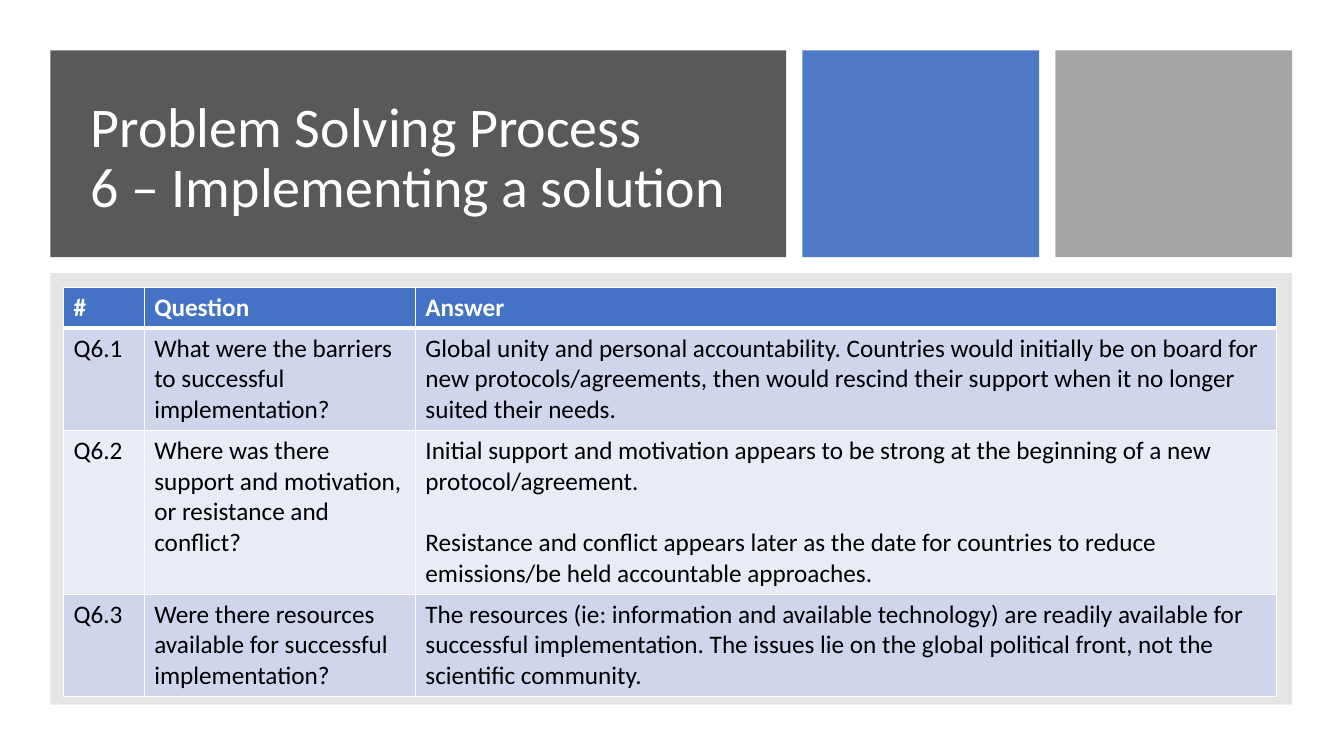
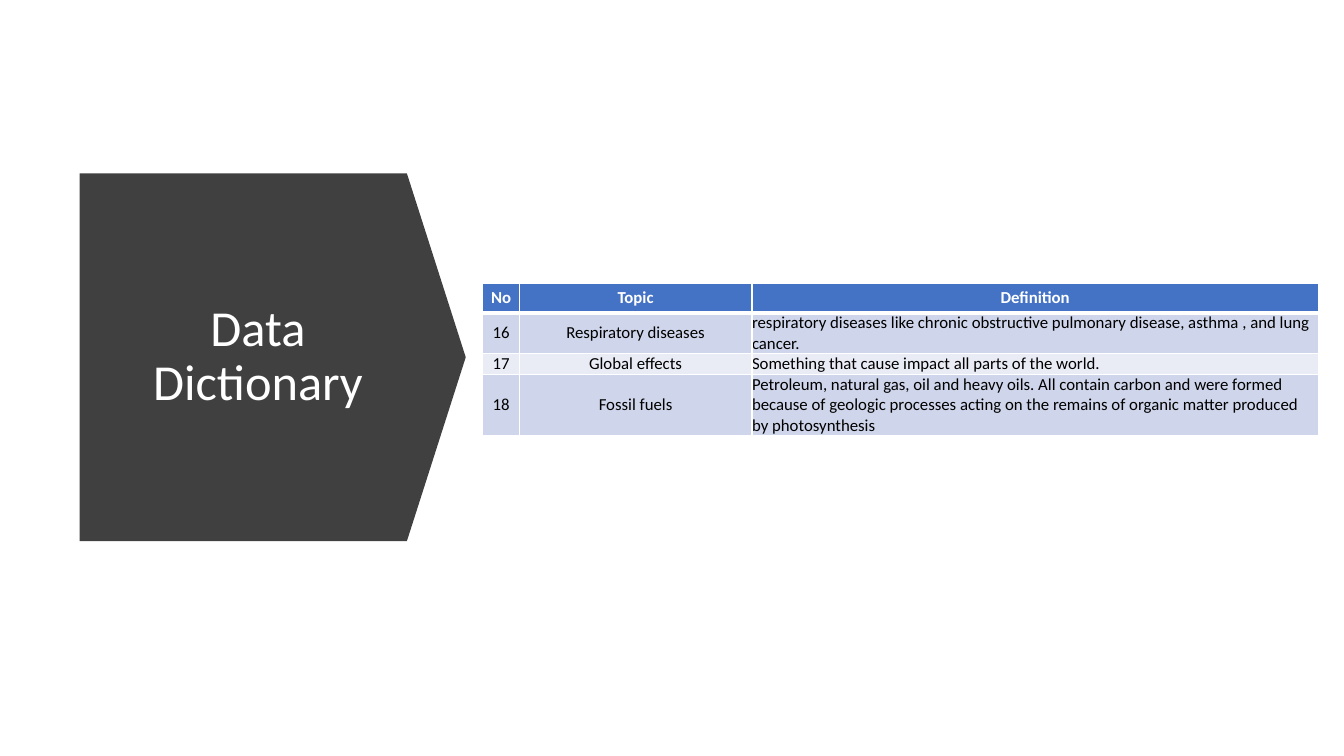
"""Build two slides: a solution review table and a data dictionary."""
from dataclasses import dataclass

from lxml.etree import SubElement
from pptx import Presentation
from pptx.dml.color import RGBColor
from pptx.enum.shapes import MSO_SHAPE
from pptx.enum.text import MSO_ANCHOR, PP_ALIGN
from pptx.oxml.ns import qn
from pptx.shapes.autoshape import Shape
from pptx.slide import Slide
from pptx.table import _Cell
from pptx.util import Pt

FONT = "Calibri"
WHITE = RGBColor(0xFF, 0xFF, 0xFF)
BLACK = RGBColor(0x00, 0x00, 0x00)
BLUE = RGBColor(0x44, 0x72, 0xC4)
SILVER = RGBColor(0xA5, 0xA5, 0xA5)
GRAY = RGBColor(0x80, 0x80, 0x80)
SLATE = RGBColor(0x59, 0x59, 0x59)
CHARCOAL = RGBColor(0x40, 0x40, 0x40)
ROW_TINTS = (RGBColor(0xCF, 0xD5, 0xEA), RGBColor(0xE9, 0xEB, 0xF5))

MARGIN = 36
GAP = 11.5
BAND_WIDTH, BAND_HEIGHT = 525.6, 147.6
TILE_WIDTH = 169.2
THIN, THICK = 1, 3


@dataclass(frozen=True)
class Box:
    left: float
    top: float
    width: float
    height: float

    def lengths(self) -> tuple[Pt, Pt, Pt, Pt]:
        return Pt(self.left), Pt(self.top), Pt(self.width), Pt(self.height)


@dataclass(frozen=True)
class Grid:
    left: float
    top: float
    columns: tuple[float, ...]
    heights: tuple[float, ...]
    rows: tuple[tuple[str, ...], ...]
    size: float
    compact: bool = False


REVIEW = Grid(
    45.4, 205.2, (57.6, 193.7, 614.9), (29.2, 73, 117, 73),
    (
        ("#", "Question", "Answer"),
        (
            "Q6.1",
            "What were the barriers to successful implementation?",
            "Global unity and personal accountability. Countries would initially be on board for "
            "new protocols/agreements, then would rescind their support when it no longer "
            "suited their needs.",
        ),
        (
            "Q6.2",
            "Where was there support and motivation, or resistance and conflict?",
            "Initial support and motivation appears to be strong at the beginning of a new "
            "protocol/agreement.\n"
            "Resistance and conflict appears later as the date for countries to reduce "
            "emissions/be held accountable approaches.",
        ),
        (
            "Q6.3",
            "Were there resources available for successful implementation?",
            "The resources (ie: information and available technology) are readily available for "
            "successful implementation. The issues lie on the global political front, not the "
            "scientific community.",
        ),
    ),
    18,
)

DICTIONARY = Grid(
    344.9, 202.5, (26, 166.3, 404.6), (20.9, 29.3, 14.6, 43.9),
    (
        ("No", "Topic", "Definition"),
        (
            "16",
            "Respiratory diseases",
            "respiratory diseases like chronic obstructive pulmonary disease, asthma , and lung "
            "cancer.",
        ),
        ("17", "Global effects", "Something that cause impact all parts of the world."),
        (
            "18",
            "Fossil fuels",
            "Petroleum, natural gas, oil and heavy oils. All contain carbon and were formed "
            "because of geologic processes acting on the remains of organic matter produced "
            "by photosynthesis",
        ),
    ),
    12,
    compact=True,
)


def add_block(slide: Slide, box: Box, color: RGBColor, opacity: int = 100,
              outline: MSO_SHAPE = MSO_SHAPE.RECTANGLE) -> Shape:
    block = slide.shapes.add_shape(outline, *box.lengths())
    block.shadow.inherit = False
    block.fill.solid()
    block.fill.fore_color.rgb = color
    block.line.fill.background()
    if opacity < 100:
        tone = block.element.spPr.find(qn("a:solidFill")).find(qn("a:srgbClr"))
        SubElement(tone, qn("a:alpha"), val=str(opacity * 1000))
    return block


def add_title(slide: Slide, box: Box, wording: str, size: float, align: PP_ALIGN) -> None:
    frame = slide.shapes.add_textbox(*box.lengths()).text_frame
    frame.word_wrap = True
    frame.vertical_anchor = MSO_ANCHOR.MIDDLE
    frame.text = wording
    for paragraph in frame.paragraphs:
        paragraph.alignment = align
        paragraph.line_spacing = 0.9
        for run in paragraph.runs:
            run.font.name, run.font.size = FONT, Pt(size)
            run.font.color.rgb = WHITE


def set_borders(cell: _Cell, top: float, bottom: float) -> None:
    properties = cell._tc.get_or_add_tcPr()
    for side, width in (("L", THIN), ("R", THIN), ("T", top), ("B", bottom)):
        edge = SubElement(properties, qn(f"a:ln{side}"), w=str(Pt(width)))
        paint = SubElement(edge, qn("a:solidFill"))
        SubElement(paint, qn("a:srgbClr"), val=str(WHITE))


def fill_cell(cell: _Cell, wording: str, grid: Grid, row: int, column: int) -> None:
    header = row == 0
    set_borders(cell, THICK if row == 1 else THIN, THICK if header else THIN)
    cell.fill.solid()
    cell.fill.fore_color.rgb = BLUE if header else ROW_TINTS[(row - 1) % 2]
    if grid.compact:
        cell.margin_left = cell.margin_right = cell.margin_top = cell.margin_bottom = 0
        cell.vertical_anchor = MSO_ANCHOR.MIDDLE
    centred = grid.compact and (header or column < len(grid.columns) - 1)
    cell.text_frame.text = wording
    for index, paragraph in enumerate(cell.text_frame.paragraphs):
        paragraph.alignment = PP_ALIGN.CENTER if centred else PP_ALIGN.LEFT
        if index:
            paragraph.space_before = Pt(22)
        for run in paragraph.runs:
            run.font.name, run.font.size = FONT, Pt(grid.size)
            run.font.bold = header
            run.font.color.rgb = WHITE if header else BLACK


def add_grid(slide: Slide, grid: Grid) -> None:
    box = Box(grid.left, grid.top, sum(grid.columns), sum(grid.heights))
    table = slide.shapes.add_table(len(grid.rows), len(grid.columns), *box.lengths()).table
    for column, width in zip(table.columns, grid.columns):
        column.width = Pt(width)
    for row, height in zip(table.rows, grid.heights):
        row.height = Pt(height)
    for row, wordings in enumerate(grid.rows):
        for column, wording in enumerate(wordings):
            fill_cell(table.cell(row, column), wording, grid, row, column)


def build_review(slide: Slide) -> None:
    left = MARGIN
    for width, color, opacity in (
        (BAND_WIDTH, SLATE, 100), (TILE_WIDTH, BLUE, 95), (TILE_WIDTH, SILVER, 100),
    ):
        add_block(slide, Box(left, MARGIN, width, BAND_HEIGHT), color, opacity)
        left += width + GAP
    panel_top = MARGIN + BAND_HEIGHT + GAP
    add_block(slide, Box(MARGIN, panel_top, left - GAP - MARGIN, 308.2), GRAY, 20)
    add_title(slide, Box(57.6, 57.6, 504, 112.3),
              "Problem Solving Process\v6 – Implementing a solution", 40, PP_ALIGN.LEFT)
    add_grid(slide, REVIEW)


def build_dictionary(slide: Slide) -> None:
    arrow = add_block(slide, Box(56.9, 123.8, 275.8, 262.8), CHARCOAL,
                      outline=MSO_SHAPE.PENTAGON)
    arrow.adjustments[0] = 0.16
    add_title(slide, Box(80.6, 154.8, 207.4, 200.9), "Data Dictionary", 36, PP_ALIGN.CENTER)
    add_grid(slide, DICTIONARY)


def main() -> None:
    deck = Presentation()
    deck.slide_width, deck.slide_height = Pt(960), Pt(540)
    blank = deck.slide_layouts[6]
    for build in (build_review, build_dictionary):
        build(deck.slides.add_slide(blank))
    deck.save("out.pptx")


if __name__ == "__main__":
    main()
